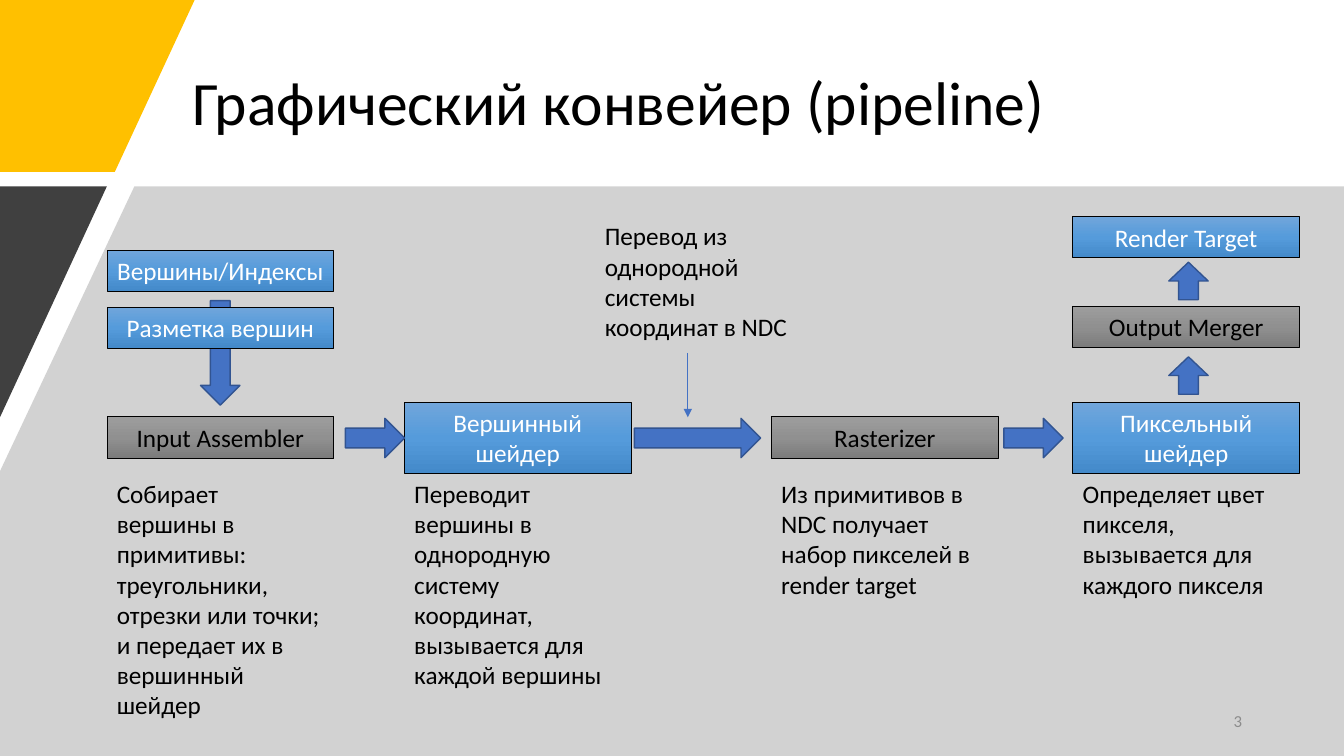
from collections import namedtuple
from copy import deepcopy
from lxml.etree import SubElement
from pptx import Presentation
from pptx.dml.color import RGBColor
from pptx.enum.shapes import MSO_CONNECTOR, MSO_SHAPE
from pptx.enum.text import MSO_ANCHOR, MSO_AUTO_SIZE, PP_ALIGN
from pptx.oxml.ns import qn
from pptx.util import Inches, Pt

Box = namedtuple("Box", "x y w h")
PAGE = Box(0, 0, Inches(13.33), Inches(7.5))
WIDE = 16.88
BLUE = ("71A6DB", "559BDB", "448ACA")
GRAY = ("9D9D9D", "909090", "7C7C7C")
BODY = {"size": 18, "color": "000000"}
FRAME = {"word_wrap": True, "auto_size": MSO_AUTO_SIZE.SHAPE_TO_FIT_TEXT}
FIXED = {"word_wrap": True, "auto_size": MSO_AUTO_SIZE.NONE,
         "vertical_anchor": MSO_ANCHOR.MIDDLE}


def tint(code):
    return RGBColor.from_string(code)


def part(box, x, y, w, h):
    return Box(int(box.x + x * box.w), int(box.y + y * box.h),
               int(w * box.w), int(h * box.h))


def grid(x, y, w, h):
    return part(PAGE, x / 100, y / 100, w / 100, h / 100)


def apply(item, form):
    for name, value in form.items():
        setattr(item, name, value)


def write(shape, text, look, frame, para):
    body = shape.text_frame
    apply(body, frame)
    line = body.paragraphs[0]
    apply(line, para)
    run = line.add_run()
    run.text = text
    apply(run.font, {"name": "Calibri", "size": Pt(look["size"])})
    run.font.color.rgb = tint(look["color"])


def label(slide, box, text, look=BODY, frame=FRAME, align=PP_ALIGN.LEFT):
    write(slide.shapes.add_textbox(*box), text, look, frame, {"alignment": align})


def tile(slide, box, text, shades):
    shape = slide.shapes.add_shape(MSO_SHAPE.RECTANGLE, *box)
    shape.shadow.inherit = False
    shape.fill.gradient()
    shape.fill.gradient_angle = 270
    first = shape._element.find(".//" + qn("a:gs"))
    first.addnext(deepcopy(first))
    for stop, shade, spot in zip(shape.fill.gradient_stops, shades, (0, 0.5, 1)):
        stop.color.rgb = tint(shade)
        stop.position = spot
    shape.line.color.rgb = tint("000000")
    shape.line.width = Pt(0.5)
    ink = "FFFFFF" if shades == BLUE else "000000"
    write(shape, text, {"size": 18, "color": ink}, FRAME,
          {"alignment": PP_ALIGN.CENTER})


def arrow(slide, box, x, y, share, turn=0):
    wide = int(0.0293 * PAGE.w)
    long = int(share * (box.w if turn == 270 else box.h))
    mid = part(box, x, y, 0, 0)
    shape = slide.shapes.add_shape(MSO_SHAPE.DOWN_ARROW, mid.x - wide // 2,
                                   mid.y - long // 2, wide, long)
    shape.rotation = turn
    shape.shadow.inherit = False
    shape.fill.solid()
    shape.fill.fore_color.rgb = tint("4472C4")
    shape.line.color.rgb = tint("325491")
    shape.line.width = Pt(1)


def patch(slide, box, points, color, alpha=None):
    spots = [part(box, x, y, 0, 0)[:2] for x, y in points]
    form = slide.shapes.build_freeform(*spots[0])
    form.add_line_segments(spots[1:], close=True)
    shape = form.convert_to_shape()
    shape.shadow.inherit = False
    shape.fill.solid()
    shape.fill.fore_color.rgb = tint(color)
    shape.line.fill.background()
    if alpha:
        clr = shape._element.spPr.find(qn("a:solidFill"))[0]
        SubElement(clr, qn("a:alpha"), val=str(alpha * 1000))


def decor(slide):
    patch(slide, grid(0, 0, 14.48, 22.74),
          [(0, 0), (1, 0), (0.59, 1), (0, 1)], "FFC000")
    patch(slide, grid(0, 24.67, 100, 75.33),
          [(0.1, 0), (1, 0), (1, 1), (0, 1), (0, 0.5)], "A6A6A6", 50)
    patch(slide, grid(0, 24.67, 7.95, 30.53),
          [(0, 0), (1, 0), (0, 1)], "404040")


def head(slide, box, text):
    title = slide.shapes.title
    apply(title, dict(zip(("left", "top", "width", "height"), box)))
    write(title, text, {"size": 44, "color": "000000"}, FIXED,
          {"alignment": PP_ALIGN.LEFT, "line_spacing": 0.9})


def feed(slide, box):
    arrow(slide, box, 0.5, 0.65, 0.66)
    for y, text in ((0, "Вершины/Индексы"), (0.36, "Разметка вершин")):
        tile(slide, part(box, 0, y, 1, 0.26), text, BLUE)


def stage(slide, box, text, shades, note, deep):
    tall = 0.22 if shades == BLUE else 0.13
    tile(slide, part(box, 0, 0.11 - tall / 2, 1, tall), text, shades)
    label(slide, part(box, 0, 0.22, 1, deep), note)


def flow(slide, box):
    for x, share in ((0.28, 0.04), (0.52, 0.09), (0.77, 0.04)):
        arrow(slide, box, x - 0.001, 0.5, share + 0.004, 270)


def remark(slide, box):
    label(slide, part(box, 0, 0, 1, 0.66), "Перевод из однородной системы координат в NDC")
    start, end = (part(box, 0.41, y, 0, 0) for y in (0.68, 1))
    line = slide.shapes.add_connector(MSO_CONNECTOR.STRAIGHT, *start[:2], *end[:2])
    line.line.color.rgb = tint("4472C4")
    line.line.width = Pt(0.5)
    SubElement(line.line._get_or_add_ln(), qn("a:tailEnd"), type="triangle")
    SubElement(line._element.spPr, qn("a:effectLst"))


def output(slide, box):
    for y, text, shades in ((0.5, "Output Merger", GRAY), (0, "Render Target", BLUE)):
        tile(slide, part(box, 0, y, 1, 0.23), text, shades)
    for y in (0.89, 0.36):
        arrow(slide, box, 0.51, y, 0.21, 180)


STEPS = (
    (7.95, "Input Assembler", GRAY, "Собирает вершины в примитивы: треугольники, "
     "отрезки или точки; и передает их в вершинный шейдер", 0.79),
    (30.08, "Вершинный шейдер", BLUE, "Переводит вершины в однородную систему "
     "координат, вызывается для каждой вершины", 0.69),
    (57.39, "Rasterizer", GRAY, "Из примитивов в NDC получает набор пикселей "
     "в render target", 0.41),
    (79.82, "Пиксельный шейдер", BLUE, "Определяет цвет пикселя, вызывается "
     "для каждого пикселя", 0.41),
)


def main():
    deck = Presentation()
    apply(deck, {"slide_width": PAGE.w, "slide_height": PAGE.h})
    slide = deck.slides.add_slide(deck.slide_layouts[5])
    head(slide, grid(13.58, 5.33, 76.82, 17.33), "Графический конвейер (pipeline)")
    decor(slide)
    feed(slide, grid(7.95, 33.07, WIDE, 20.93))
    for x, *step in STEPS:
        stage(slide, grid(x, 53.2, WIDE, 42.67), *step)
    flow(slide, grid(0, 53.2, 100, 9.47))
    remark(slide, grid(44.26, 28.53, WIDE, 26.67))
    output(slide, grid(79.82, 28.67, WIDE, 23.6))
    label(slide, grid(70.67, 92.67, 22.5, 5.33), "3",
          {"size": 12, "color": "8C8C8C"}, FIXED, PP_ALIGN.RIGHT)
    deck.save("out.pptx")


if __name__ == "__main__":
    main()
